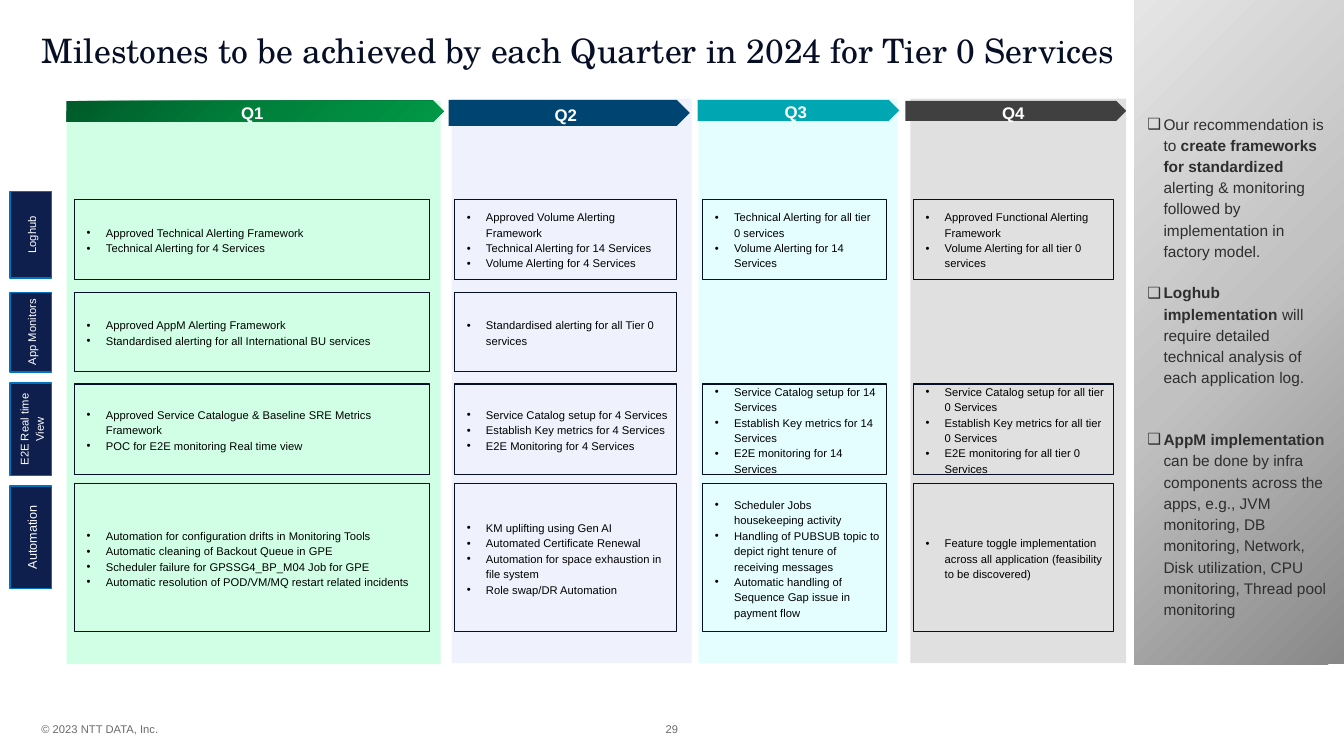
from pptx import Presentation
from pptx.dml.color import RGBColor as RGB
from pptx.enum.shapes import MSO_SHAPE as SHAPE
from pptx.enum.text import MSO_ANCHOR as ANCHOR, MSO_AUTO_SIZE as AUTO, PP_ALIGN as ALIGN
from pptx.oxml.ns import qn
from pptx.util import Emu, Inches, Pt
from copy import deepcopy
from lxml.etree import SubElement

W, H = 13.33, 7.5
LEADING = 1.15
C = {"ink": "070F26", "navy": "0E1F4D", "edge": "0072BC", "white": "FFFFFF", "black": "000000",
     "body": "2E2E2E", "foot": "6B6B6B"}
SIDE_STOPS = ["888888", "C1C1C1", "E5E5E5"]

QUARTERS = [
    {"name": "Q1", "panel": (0.66, 1, 3.71, 5.59), "tint": ("47FF9B", 25), "arrow": (0.66, 1, 3.74, 0.21),
     "fill": ["005A29", "00803B", "009846"], "card": (0.74, 3.52)},
    {"name": "Q2", "panel": (4.48, 0.98, 2.38, 5.6), "tint": ("9DB2ED", 16), "arrow": (4.45, 0.99, 2.39, 0.26),
     "fill": "004471", "card": (4.51, 2.2)},
    {"name": "Q3", "panel": (6.93, 0.98, 1.97, 5.6), "tint": ("5BF5FF", 16), "arrow": (6.92, 0.99, 2, 0.21),
     "fill": "00A7B2", "card": (6.97, 1.82)},
    {"name": "Q4", "panel": (9.03, 0.98, 2.14, 5.6), "tint": ("3F3F3F", 16), "arrow": (8.98, 1, 2.19, 0.2),
     "fill": "404040", "card": (9.06, 1.98)},
]

TRACKS = [
    {"name": "Loghub", "size": 8, "label": (1.9, 0.86), "card": (1.98, 0.79), "items": [
        ["Approved Technical Alerting Framework", "Technical Alerting for 4 Services"],
        ["Approved Volume Alerting Framework", "Technical Alerting for 14 Services",
         "Volume Alerting for 4 Services"],
        ["Technical Alerting for all tier 0 services", "Volume Alerting for 14 Services"],
        ["Approved Functional Alerting Framework", "Volume Alerting for all tier 0 services"]]},
    {"name": "App Monitors", "size": 8, "label": (2.9, 0.79), "card": (2.9, 0.79), "items": [
        ["Approved AppM Alerting Framework", "Standardised alerting for all International BU services"],
        ["Standardised alerting for all Tier 0 services"], [], []]},
    {"name": "E2E Real time View", "size": 8, "label": (3.8, 0.92), "card": (3.81, 0.9), "items": [
        ["Approved Service Catalogue & Baseline SRE Metrics Framework",
         "POC for E2E monitoring Real time view"],
        ["Service Catalog setup for 4 Services", "Establish Key metrics for 4 Services",
         "E2E Monitoring for 4 Services"],
        ["Service Catalog setup for 14 Services", "Establish Key metrics for 14 Services",
         "E2E monitoring for 14 Services"],
        ["Service Catalog setup for all tier 0 Services", "Establish Key metrics for all tier 0 Services",
         "E2E monitoring for all tier 0 Services"]]},
    {"name": "Automation", "size": 9, "label": (4.82, 1.02), "card": (4.8, 1.47), "items": [
        ["Automation for configuration drifts in Monitoring Tools",
         "Automatic cleaning of Backout Queue in GPE",
         "Scheduler failure for GPSSG4_BP_M04 Job for GPE",
         "Automatic resolution of POD/VM/MQ restart related incidents"],
        ["KM uplifting using Gen AI", "Automated Certificate Renewal",
         "Automation for space exhaustion in file system", "Role swap/DR Automation"],
        ["Scheduler Jobs housekeeping activity",
         "Handling of PUBSUB topic to depict right tenure of receiving messages",
         "Automatic handling of Sequence Gap issue in payment flow"],
        ["Feature toggle implementation across all application (feasibility to be discovered)"]]},
]

ADVICE = [
    (0, [("Our recommendation is to ", False), ("create frameworks for standardized ", True),
         ("alerting & monitoring followed by implementation in factory model.", False)]),
    (14.5, [("Loghub implementation ", True),
            ("will require detailed technical analysis of each application log.", False)]),
    (29, [("AppM implementation ", True),
          ("can be done by infra components across the apps, e.g., JVM monitoring, DB monitoring, Network, "
           "Disk utilization, CPU monitoring, Thread pool monitoring", False)]),
]


def place(sp, x, y, w, h):
    sp.left, sp.top, sp.width, sp.height = (Inches(v) for v in (x, y, w, h))


def set_frame(tf, left=0, top=0, right=0, bottom=0, anchor=ANCHOR.MIDDLE):
    tf.margin_left, tf.margin_top, tf.margin_right, tf.margin_bottom = (
        Inches(v) for v in (left, top, right, bottom))
    tf.vertical_anchor, tf.word_wrap, tf.auto_size = anchor, True, AUTO.NONE


def write(p, text, size, color, bold=False, font="Arial"):
    r = p.add_run()
    r.text = text
    r.font.name, r.font.size, r.font.bold = font, Pt(size), bold
    r.font.color.rgb = RGB.from_string(C[color])


def set_bullet(p, char, indent):
    pPr = p._p.get_or_add_pPr()
    pPr.set("marL", str(Inches(indent)))
    pPr.set("indent", str(-Inches(indent)))
    SubElement(pPr, qn("a:buFont"), typeface="Arial")
    SubElement(pPr, qn("a:buChar"), char=char)


def paragraph(tf, i, align=ALIGN.LEFT, before=0):
    p = tf.add_paragraph() if i else tf.paragraphs[0]
    p.alignment, p.line_spacing, p.space_before = align, LEADING, Pt(before)
    return p


def paint(sp, fill, angle=0):
    if isinstance(fill, str):
        sp.fill.solid()
        sp.fill.fore_color.rgb = RGB.from_string(fill)
        return
    sp.fill.gradient()
    sp.fill.gradient_angle = 360 - angle
    stops = sp._element.spPr.find(qn("a:gradFill")).find(qn("a:gsLst"))
    stops.insert(1, deepcopy(stops[0]))
    for i, (stop, color) in enumerate(zip(sp.fill.gradient_stops, fill)):
        stop.position = i / 2
        stop.color.rgb = RGB.from_string(color)


def add_block(slide, box, fill=None, line=None, width=1, kind=SHAPE.RECTANGLE, angle=0):
    sp = slide.shapes.add_shape(kind, *(Inches(v) for v in box))
    sp.shadow.inherit = False
    if fill:
        paint(sp, fill, angle)
    else:
        sp.fill.background()
    if line:
        sp.line.color.rgb = RGB.from_string(C[line])
        sp.line.width = Pt(width)
    else:
        sp.line.fill.background()
    return sp


def add_title(slide):
    title = slide.shapes.title
    place(title, 0.41, 0.34, 12.52, 0.87)
    set_frame(title.text_frame, anchor=ANCHOR.TOP)
    p = paragraph(title.text_frame, 0)
    p.line_spacing = 0.9
    write(p, "Milestones to be achieved by each Quarter in 2024 for Tier 0 Services", 24, "ink",
          font="TeX Gyre Schola")


def add_sidebar(slide, x, y, w, h):
    back = add_block(slide, (x, y, w, h), SIDE_STOPS, angle=225)
    body = slide.placeholders[1]
    back._element.addnext(body._element)
    place(body, x + 0.03, y + 1.06, w - 0.04, h - 1.06)
    tf = body.text_frame
    set_frame(tf, 0.1, 0.05, 0.1, 0.05, ANCHOR.TOP)
    for i, (before, runs) in enumerate(ADVICE):
        p = paragraph(tf, i, before=before)
        set_bullet(p, "❑", 0.16)
        for text, bold in runs:
            write(p, text, 11, "body", bold)


def add_quarter(slide, quarter):
    color, alpha = quarter["tint"]
    panel = add_block(slide, quarter["panel"], color)
    tint = panel._element.spPr.find(qn("a:solidFill"))[0]
    SubElement(tint, qn("a:alpha"), val=str(alpha * 1000))
    arrow = add_block(slide, quarter["arrow"], quarter["fill"], kind=SHAPE.PENTAGON, angle=45)
    set_frame(arrow.text_frame)
    write(paragraph(arrow.text_frame, 0, ALIGN.CENTER), quarter["name"], 12, "white", True)


def add_track_label(slide, track, x, w):
    y, h = track["label"]
    box = (x + (w - h) / 2, y + (h - w) / 2, h, w)
    sp = add_block(slide, box, C["navy"], "edge")
    sp.rotation = 270
    set_frame(sp.text_frame)
    write(paragraph(sp.text_frame, 0, ALIGN.CENTER), track["name"], track["size"], "white")


def add_card(slide, box, items, right):
    sp = add_block(slide, box, line="ink", width=0.75)
    set_frame(sp.text_frame, 0.12, 0.08, right, 0.08)
    for i, item in enumerate(items):
        p = paragraph(sp.text_frame, i)
        set_bullet(p, "•", 0.19)
        write(p, item, 8, "black")


def add_footer(slide, box, text, align):
    tf = slide.shapes.add_textbox(*(Inches(v) for v in box)).text_frame
    set_frame(tf)
    p = tf.paragraphs[0]
    p.alignment = align
    write(p, text, 8, "foot")


def main():
    prs = Presentation()
    prs.slide_width, prs.slide_height = Inches(W), Inches(H)
    slide = prs.slides.add_slide(prs.slide_layouts[1])
    add_title(slide)
    add_sidebar(slide, 11.25, 0, W - 11.25, 6.59)
    for quarter in QUARTERS:
        add_quarter(slide, quarter)
    for row, track in enumerate(TRACKS):
        add_track_label(slide, track, 0.1, 0.41)
        y, h = track["card"]
        for col, (quarter, items) in enumerate(zip(QUARTERS, track["items"])):
            if items:
                x, w = quarter["card"]
                add_card(slide, (x, y, w, h), items, 0.12 if row < 2 or col == 0 else 0.04)
    add_footer(slide, (0.41, 7.18, 5.31, 0.1), "© 2023 NTT DATA, Inc.", ALIGN.LEFT)
    add_footer(slide, (6.5, 7.18, 0.33, 0.1), "29", ALIGN.CENTER)
    prs.save("out.pptx")


if __name__ == "__main__":
    main()
